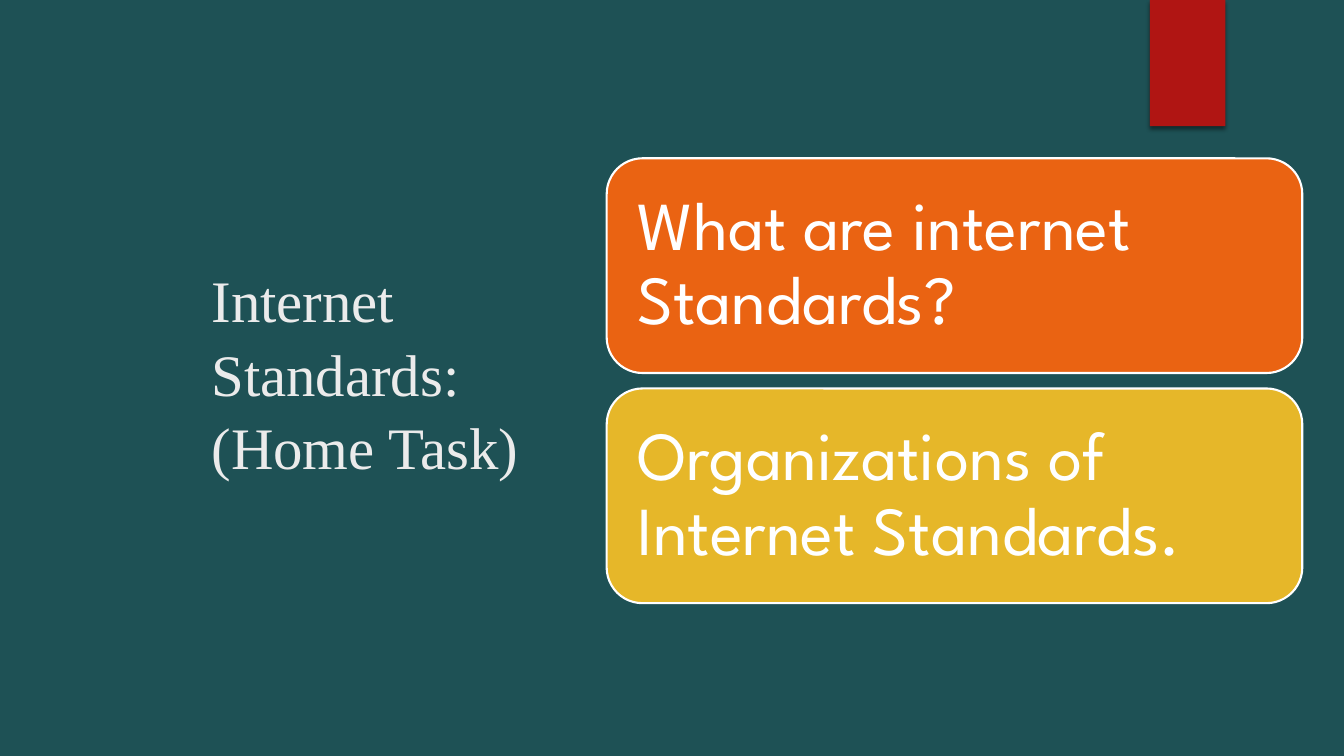
import pptx
import pptx.util
import pptx.dml.color
import pptx.enum.shapes
import pptx.enum.text
import lxml.etree

Cm = pptx.util.Cm
Pt = pptx.util.Pt
RGB = pptx.dml.color.RGBColor
Kind = pptx.enum.shapes.MSO_SHAPE

# Content
TITLE = "Internet Standards: (Home Task)"
TEAL = RGB(0x1E, 0x51, 0x55)
RED = RGB(0xB0, 0x15, 0x13)
ORANGE = RGB(0xEA, 0x63, 0x12)
GOLD = RGB(0xE6, 0xB7, 0x29)
PALE = RGB(0xEB, 0xEB, 0xEB)
WHITE = RGB(0xFF, 0xFF, 0xFF)
CARDS = [
    ("What are internet Standards?", ORANGE),
    ("Organizations of Internet Standards.", GOLD),
]

# Card column, in cm
LEFT, TOP, WIDE, HIGH, GAP = 15.29, 3.99, 17.53, 5.41, 0.39

SHADOW = (
    '<a:effectLst xmlns:a="http://schemas.openxmlformats.org/drawingml/2006/main">'
    '<a:outerShdw blurRad="38100" dist="25400" dir="5400000" rotWithShape="0">'
    '<a:srgbClr val="000000"><a:alpha val="45000"/></a:srgbClr>'
    '</a:outerShdw></a:effectLst>'
)


def write(shape, text, font, size, color, inset, space):
    frame = shape.text_frame
    frame.word_wrap = True
    frame.vertical_anchor = pptx.enum.text.MSO_ANCHOR.MIDDLE
    frame.margin_left = frame.margin_right = Cm(inset)
    frame.margin_top = frame.margin_bottom = Cm(inset)
    para = frame.paragraphs[0]
    para.alignment = pptx.enum.text.PP_ALIGN.LEFT
    para.line_spacing = space
    run = para.add_run()
    run.text = text
    run.font.name = font
    run.font.size = Pt(size)
    run.font.color.rgb = color


def block(slide, kind, box, fill):
    shape = slide.shapes.add_shape(kind, *map(Cm, box))
    shape.shadow.inherit = False
    shape.fill.solid()
    shape.fill.fore_color.rgb = fill
    shape.line.fill.background()
    return shape


def main():
    deck = pptx.Presentation()
    deck.slide_width, deck.slide_height = Cm(33.87), Cm(19.05)
    slide = deck.slides.add_slide(deck.slide_layouts[6])
    slide.background.fill.solid()
    slide.background.fill.fore_color.rgb = TEAL

    # Red tab with a soft shadow
    tab = block(slide, Kind.RECTANGLE, (28.98, 0, 1.9, 3.18), RED)
    props = tab.element.spPr
    old = props.find(pptx.oxml.ns.qn("a:effectLst"))
    props.replace(old, lxml.etree.fromstring(SHADOW))

    # Title
    title = slide.shapes.add_textbox(Cm(5.08), Cm(5.28), Cm(9.2), Cm(8.15))
    write(title, TITLE, font="Times New Roman", size=42, color=PALE,
          inset=0.25, space=1.04)

    # Cards, stacked at an equal step
    for i, (text, fill) in enumerate(CARDS):
        box = (LEFT, TOP + i * (HIGH + GAP), WIDE, HIGH)
        card = block(slide, Kind.ROUNDED_RECTANGLE, box, fill)
        card.line.color.rgb = WHITE
        card.line.width = Pt(1.5)
        write(card, text, font="League Spartan", size=49, color=WHITE,
              inset=0.51, space=0.9)

    deck.save("out.pptx")


if __name__ == "__main__":
    main()
